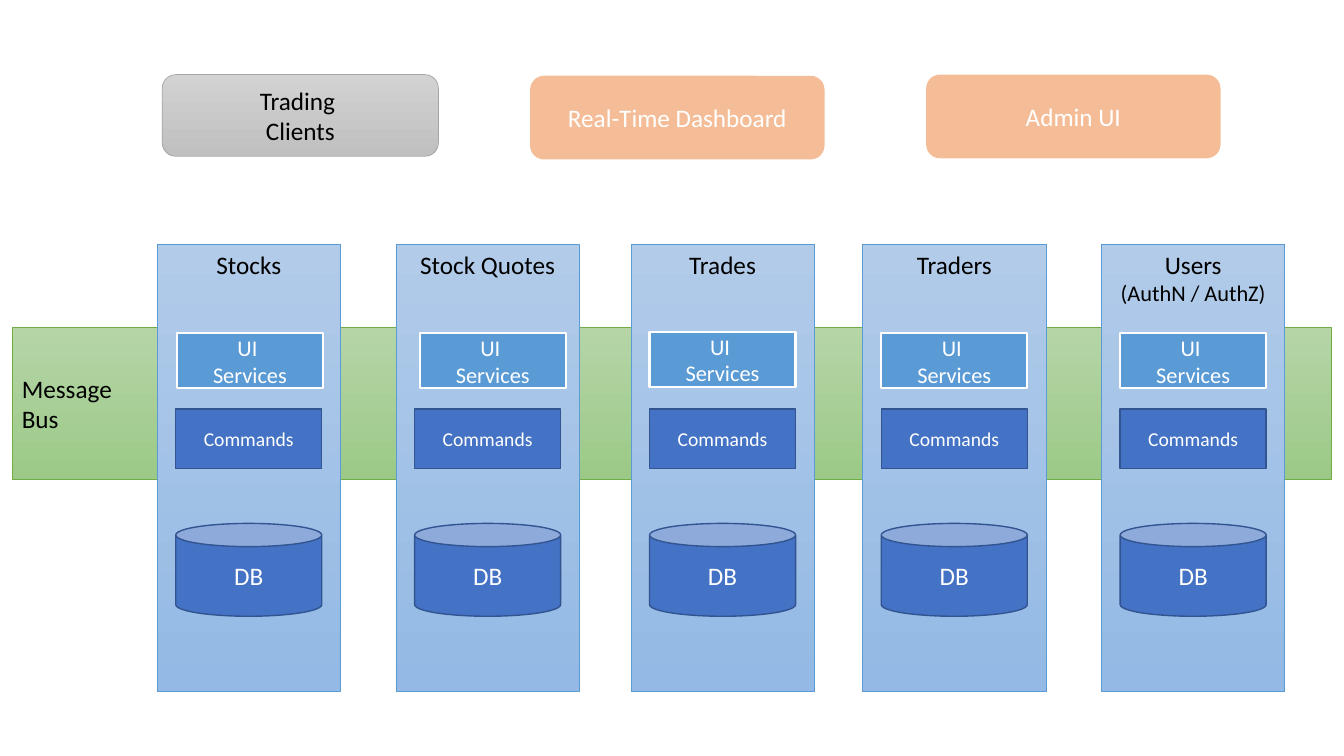
from dataclasses import dataclass
from lxml.etree import SubElement
from pptx import Presentation
from pptx.dml.color import RGBColor
from pptx.enum.shapes import MSO_SHAPE as Preset
from pptx.enum.text import MSO_ANCHOR as Anchor, PP_ALIGN as Align
from pptx.oxml.ns import qn
from pptx.util import Cm, Pt


@dataclass(frozen=True)
class Theme:
    font: str = "Calibri"
    title: int = 18
    label: int = 16
    small: int = 14
    black: str = "000000"
    white: str = "FFFFFF"
    gray: tuple = ("D2D2D2", "C0C0C0")
    gray_edge: str = "A5A5A5"
    green: tuple = ("B5D5A7", "9CC987")
    green_edge: str = "70AD47"
    sky: tuple = ("B1CBE9", "93B9E4")
    sky_edge: str = "5B9BD5"
    navy: str = "4472C4"
    navy_edge: str = "325491"
    orange: str = "ED7D31"


THEME = Theme()
rgb = RGBColor.from_string


def paint(block, fill, alpha):
    """Apply a solid colour, or a top-to-bottom gradient for a pair."""
    if isinstance(fill, tuple):
        block.fill.gradient()
        block.fill.gradient_angle = 270
        for stop, colour in zip(block.fill.gradient_stops, fill):
            stop.color.rgb = rgb(colour)
        return
    block.fill.solid()
    block.fill.fore_color.rgb = rgb(fill)
    if alpha < 100:
        colour = block.fill._xPr.find(qn("a:solidFill"))[0]
        SubElement(colour, qn("a:alpha"), val=str(alpha * 1000))


def write(paragraph, text, size, ink):
    run = paragraph.add_run()
    run.text = text
    for name, value in {"name": THEME.font, "size": Pt(size)}.items():
        setattr(run.font, name, value)
    run.font.color.rgb = rgb(ink)


def add_block(slide, box, lines, preset=Preset.RECTANGLE, fill=THEME.navy,
              alpha=100, edge=None, weight=1, size=THEME.title,
              ink=THEME.white, anchor=Anchor.MIDDLE, align=Align.CENTER):
    block = slide.shapes.add_shape(preset, *map(Cm, box))
    block.shadow.inherit = False
    paint(block, fill, alpha)
    if edge:
        block.line.color.rgb = rgb(edge)
        block.line.width = Pt(weight)
    else:
        block.line.fill.background()
    frame = block.text_frame
    for name, value in {"word_wrap": True, "vertical_anchor": anchor}.items():
        setattr(frame, name, value)
    for number, line in enumerate(lines):
        paragraph = frame.add_paragraph() if number else frame.paragraphs[0]
        paragraph.alignment = align
        write(paragraph, line, size, ink)
    return block


def add_clients(slide, box):
    """Client applications across the top."""
    left, top, _, height = box
    add_block(slide, (left, top, 6.96, 2.06), ["Trading ", "Clients"],
              Preset.ROUNDED_RECTANGLE, THEME.gray, edge=THEME.gray_edge,
              weight=0.5, ink=THEME.black)
    for app, dx, dy in (("Real-Time Dashboard", 9.27, 0.03),
                        ("Admin UI", 19.25, 0)):
        add_block(slide, (left + dx, top + dy, 7.42, height), [app],
                  Preset.ROUNDED_RECTANGLE, THEME.orange, alpha=50)


def add_message_bus(slide, box):
    """Band that runs behind every service."""
    add_block(slide, box, ["Message ", "Bus"], fill=THEME.green,
              edge=THEME.green_edge, weight=0.5, ink=THEME.black,
              align=Align.LEFT)


def add_service(slide, box, name, detail, ui_dx, ui_dy):
    """One service column with its UI, commands and database."""
    left, top, width, _ = box
    margin = 0.47
    inner = width - 2 * margin
    column = add_block(slide, box, [name], fill=THEME.sky,
                       edge=THEME.sky_edge, weight=0.5, ink=THEME.black,
                       anchor=Anchor.TOP)
    if detail:
        heading = column.text_frame.paragraphs[0]
        heading.add_line_break()
        write(heading, detail, THEME.label, THEME.black)

    add_block(slide, (left + margin, top + 4.16, inner, 1.5), ["Commands"],
              edge=THEME.navy_edge, size=THEME.small)
    add_block(slide, (left + margin, top + 7.04, inner, 2.34), ["DB"],
              Preset.CAN, edge=THEME.navy_edge)
    add_block(slide, (left + margin + ui_dx, top + 2.24 + ui_dy, inner, 1.4),
              ["UI ", "Services"], fill=THEME.sky_edge, edge=THEME.white,
              weight=1.5, size=THEME.label)


# Service name, second line, column left, UI box offset
SERVICES = (
    ("Stocks", "", 3.96, 0.03, 0),
    ("Stock Quotes", "", 9.98, 0.13, 0),
    ("Trades", "", 15.9, 0, -0.03),
    ("Traders", "", 21.74, 0, 0),
    ("Users", "(AuthN / AuthZ)", 27.76, 0, 0),
)

deck = Presentation()
deck.slide_width, deck.slide_height = Cm(33.87), Cm(19.05)
slide = deck.slides.add_slide(deck.slide_layouts[6])

add_clients(slide, (4.09, 1.88, 26.67, 2.11))
add_message_bus(slide, (0.3, 8.25, 33.25, 3.84))
for name, detail, left, ui_dx, ui_dy in SERVICES:
    add_service(slide, (left, 6.15, 4.62, 11.28), name, detail, ui_dx, ui_dy)

deck.save("out.pptx")
